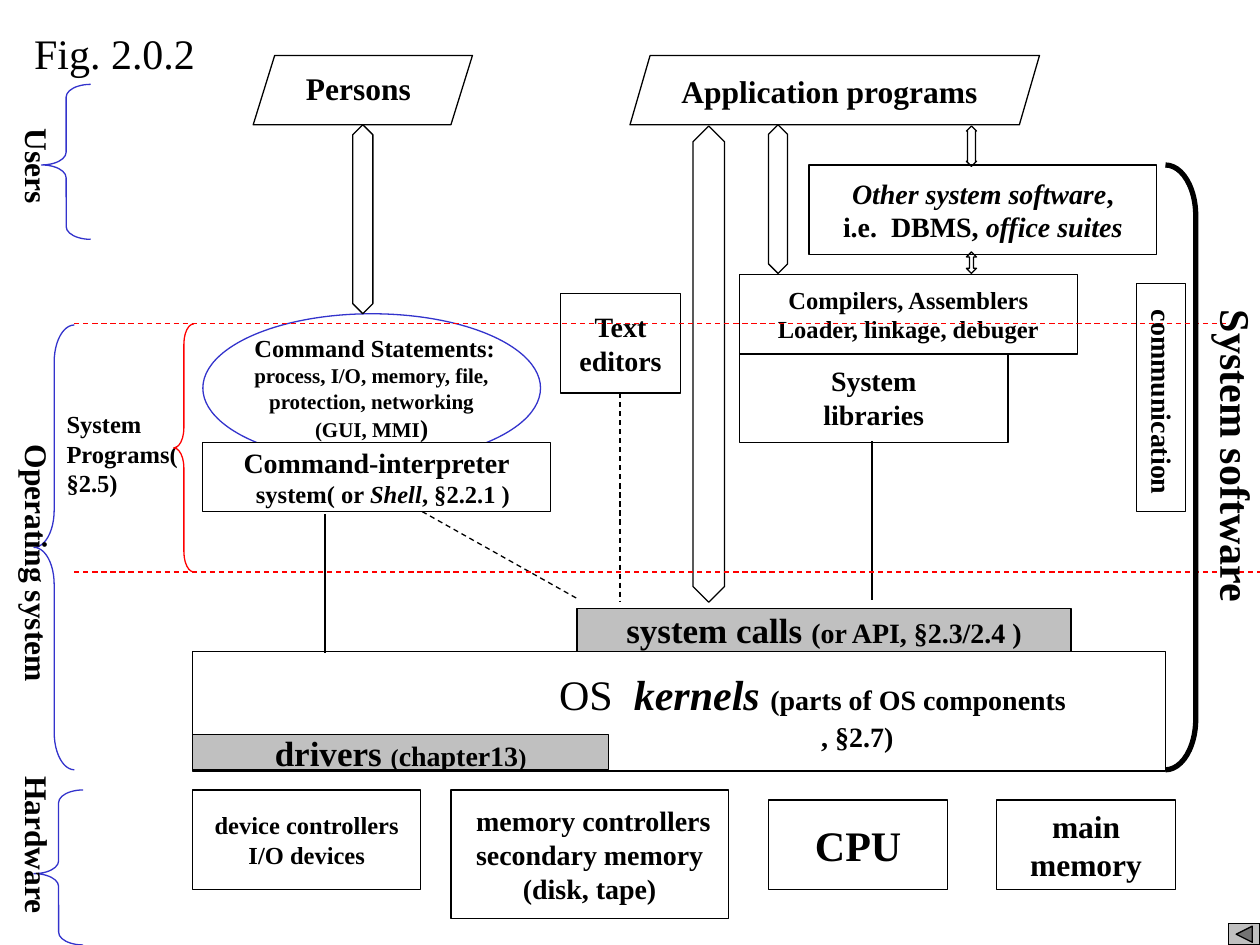
from dataclasses import dataclass
from lxml import etree
from pptx import Presentation
from pptx import util as u
from pptx.dml.color import RGBColor
from pptx.enum import dml, shapes, text
from pptx.oxml.ns import qn

FONT = "Times New Roman"
COLORS = {"black": "000000", "white": "FFFFFF", "gray": "C0C0C0",
          "blue": "3333CC", "red": "FF0000"}
KINDS = shapes.MSO_SHAPE


@dataclass
class Run:
    """Piece of a line that differs from the line's own style."""
    text: str
    size: float = None
    italic: bool = None
    bold: bool = None


@dataclass
class Line:
    """Paragraph with its own size or indent; content is a string or runs."""
    content: object
    size: float = None
    indent: float = 0


def color(name):
    return RGBColor.from_string(COLORS[name])


class Diagram:
    def __init__(self, slide):
        self.slide = slide

    def add_lines(self, frame, lines, size, align, bold=True):
        for index, line in enumerate(lines):
            if not isinstance(line, Line):
                line = Line(line)
            paragraph = frame.paragraphs[0] if index == 0 else frame.add_paragraph()
            paragraph.alignment = align
            if line.indent:
                properties = paragraph._p.get_or_add_pPr()
                properties.set("marL", str(u.Inches(line.indent)))
            font = paragraph.font
            font.name, font.size, font.bold = FONT, u.Pt(line.size or size), bold
            font.color.rgb = color("black")
            if isinstance(line.content, str):
                paragraph.add_run().text = line.content
                continue
            for part in line.content:
                run = paragraph.add_run()
                run.text = part.text
                run.font.italic, run.font.bold = part.italic, part.bold
                if part.size:
                    run.font.size = u.Pt(part.size)

    def title(self, content, place, size):
        title = self.slide.shapes.title
        title.left, title.top, title.width, title.height = map(u.Inches, place)
        frame = title.text_frame
        frame.word_wrap = False
        frame.auto_size = text.MSO_AUTO_SIZE.NONE
        frame.vertical_anchor = text.MSO_ANCHOR.TOP
        self.add_lines(frame, [content], size, text.PP_ALIGN.LEFT, bold=False)

    def shape(self, kind, place, adjustments=(), fill=None, line="black", width=0.75):
        shape = self.slide.shapes.add_shape(kind, *map(u.Inches, place))
        shape.shadow.inherit = False
        for index, value in enumerate(adjustments):
            shape.adjustments[index] = value
        if fill:
            shape.fill.solid()
            shape.fill.fore_color.rgb = color(fill)
        else:
            shape.fill.background()
        shape.line.color.rgb = color(line)
        shape.line.width = u.Pt(width)
        return shape

    def box(self, place, lines, size, kind=KINDS.RECTANGLE, fill="white", line="black"):
        frame = self.shape(kind, place, fill=fill, line=line).text_frame
        frame.word_wrap = False
        frame.vertical_anchor = text.MSO_ANCHOR.MIDDLE
        self.add_lines(frame, lines, size, text.PP_ALIGN.CENTER)

    def label(self, place, lines, size, vertical=False, wrap=False):
        frame = self.slide.shapes.add_textbox(*map(u.Inches, place)).text_frame
        frame.word_wrap = wrap
        if vertical:
            frame._txBody.bodyPr.set("vert", "eaVert")
            frame.margin_left = frame.margin_right = u.Inches(0.05)
            frame.margin_top = frame.margin_bottom = u.Inches(0.1)
        self.add_lines(frame, lines, size, text.PP_ALIGN.LEFT)

    def line(self, start, end, line="black", dashed=False):
        connector = self.slide.shapes.add_connector(
            shapes.MSO_CONNECTOR.STRAIGHT, *map(u.Inches, start + end))
        connector.line.color.rgb = color(line)
        connector.line.width = u.Pt(0.75)
        if dashed:
            connector.line.dash_style = dml.MSO_LINE.DASH
        etree.SubElement(connector._element.spPr, qn("a:effectLst"))


def draw(diagram):
    diagram.title("Fig. 2.0.2", (0.17, 0.17, 1.48, 0.5), 24)

    # Hardware
    diagram.box((1.53, 6.27, 1.81, 0.79), ["device controllers", "I/O devices"], 14)
    diagram.box((3.58, 6.27, 2.2, 1.02),
                [Line("memory controllers", indent=0.06), "secondary memory",
                 "(disk, tape)"], 16)
    diagram.box((6.1, 6.35, 1.42, 0.71), ["CPU"], 24)
    diagram.box((7.91, 6.35, 1.42, 0.71), ["main", "memory"], 18)

    # Kernel and system calls
    diagram.shape(KINDS.RECTANGLE, (1.53, 5.17, 7.72, 0.95), fill="white")
    diagram.label((4.26, 5.26, 4.3, 0.77),
                  [Line([Run("OS  ", 24, bold=False), Run("kernels ", 24, italic=True),
                         Run("(parts of OS components")], indent=0.08),
                   Line(", §2.7)", indent=2.16)], 16)
    diagram.box((1.53, 5.83, 3.3, 0.28),
                [[Run("drivers ", 20), Run("("), Run("chapter13", 16), Run(")")]],
                14, fill="gray")
    diagram.box((4.58, 4.83, 3.92, 0.34),
                [[Run("system calls ", 20), Run("(or API, §2.3/2.4 )")]],
                16, fill="gray")

    # System programs
    diagram.box((1.61, 2.49, 2.68, 1.18),
                [Line("Command Statements:", 14, 0.05), "process, I/O, memory, file,",
                 "protection, networking", [Run("(GUI, MMI"), Run(")", 14)]],
                12, kind=KINDS.OVAL, line="blue")
    diagram.box((1.61, 3.51, 2.76, 0.55),
                [Line("Command-interpreter", 16),
                 Line([Run("system( or "), Run("Shell", italic=True),
                       Run(", §2.2.1 )")], indent=0.1)], 14)
    diagram.box((5.87, 2.8, 2.13, 0.71), ["System", "libraries"], 16)
    diagram.box((5.87, 2.18, 2.68, 0.63),
                ["Compilers, Assemblers", "Loader, linkage, debuger"], 14)
    diagram.box((4.45, 2.33, 0.95, 0.79), ["Text", "editors"], 16)
    diagram.box((6.42, 1.31, 2.76, 0.71),
                [[Run("Other system software", italic=True), Run(",")],
                 [Run("i.e.  DBMS, "), Run("office suites", italic=True)]], 16)
    diagram.shape(KINDS.RECTANGLE, (9.02, 2.25, 0.39, 1.81))
    diagram.label((0.43, 3.2, 1.1, 0.8), ["System", "Programs(§2.5)"], 14, wrap=True)

    # Users
    for place, slant in (((2.01, 0.44, 1.74, 0.55), 0.31), ((5, 0.44, 3.25, 0.55), 0.29)):
        diagram.shape(KINDS.PARALLELOGRAM, place, [slant])
    diagram.label((2.33, 0.5, 1.24, 0.4), ["Persons"], 18, wrap=True)
    diagram.label((5.31, 0.52, 2.99, 0.4), ["Application programs"], 18, wrap=True)

    # Links between layers
    for place, adjustments in (
            ((2.8, 0.99, 0.16, 1.5), (0.5, 1.89)),
            ((6.1, 0.99, 0.15, 1.18), (0.5, 1.59)),
            ((7.67, 1, 0.08, 0.32), (0.5, 0.79)),
            ((7.67, 2, 0.08, 0.17), (0.5, 0.4)),
            ((5.5, 1, 0.25, 3.78), (0.4, 1.35))):
        diagram.shape(KINDS.UP_DOWN_ARROW, place, adjustments)
    diagram.line((2.58, 4.08), (2.58, 5.18))
    diagram.line((6.92, 3.5), (6.92, 4.76))
    diagram.line((3.35, 4.06), (4.58, 4.75), dashed=True)
    diagram.line((4.92, 3.12), (4.92, 4.77), dashed=True)
    diagram.line((0.59, 2.57), (9.73, 2.57), "red", dashed=True)
    diagram.line((0.59, 4.54), (10, 4.54), "red", dashed=True)

    # Layer braces and their vertical names
    for place, adjustments, line in (
            ((0.33, 0.67, 0.39, 1.23), (0.26, 0.52), "blue"),
            ((0.27, 2.58, 0.32, 3.53), (0.92, 0.5), "blue"),
            ((0.27, 6.27, 0.39, 1.23), (0.26, 0.54), "blue"),
            ((1.38, 2.57, 0.16, 1.97), (1, 0.5), "red")):
        diagram.shape(KINDS.LEFT_BRACE, place, adjustments, line=line)
    diagram.shape(KINDS.RIGHT_BRACKET, (9.25, 1.31, 0.24, 4.8), [1.67], width=3)
    for place, name, size in (
            ((0, 0.92, 0.5, 0.7), "Users", 18),
            ((0, 3.43, 0.5, 1.99), "Operating system", 18),
            ((0, 6.06, 0.5, 1.2), "Hardware", 18),
            ((9.47, 2.36, 0.6, 2.43), "System software", 24),
            ((8.95, 2.36, 0.46, 1.57), "communication", 16)):
        diagram.label(place, [name], size, vertical=True)

    diagram.shape(KINDS.ACTION_BUTTON_BACK_OR_PREVIOUS, (9.75, 7.33, 0.25, 0.17),
                  fill="gray")


def main():
    presentation = Presentation()
    presentation.slide_width, presentation.slide_height = u.Inches(10), u.Inches(7.5)
    slide = presentation.slides.add_slide(presentation.slide_layouts[5])
    draw(Diagram(slide))
    presentation.save("out.pptx")


if __name__ == "__main__":
    main()
